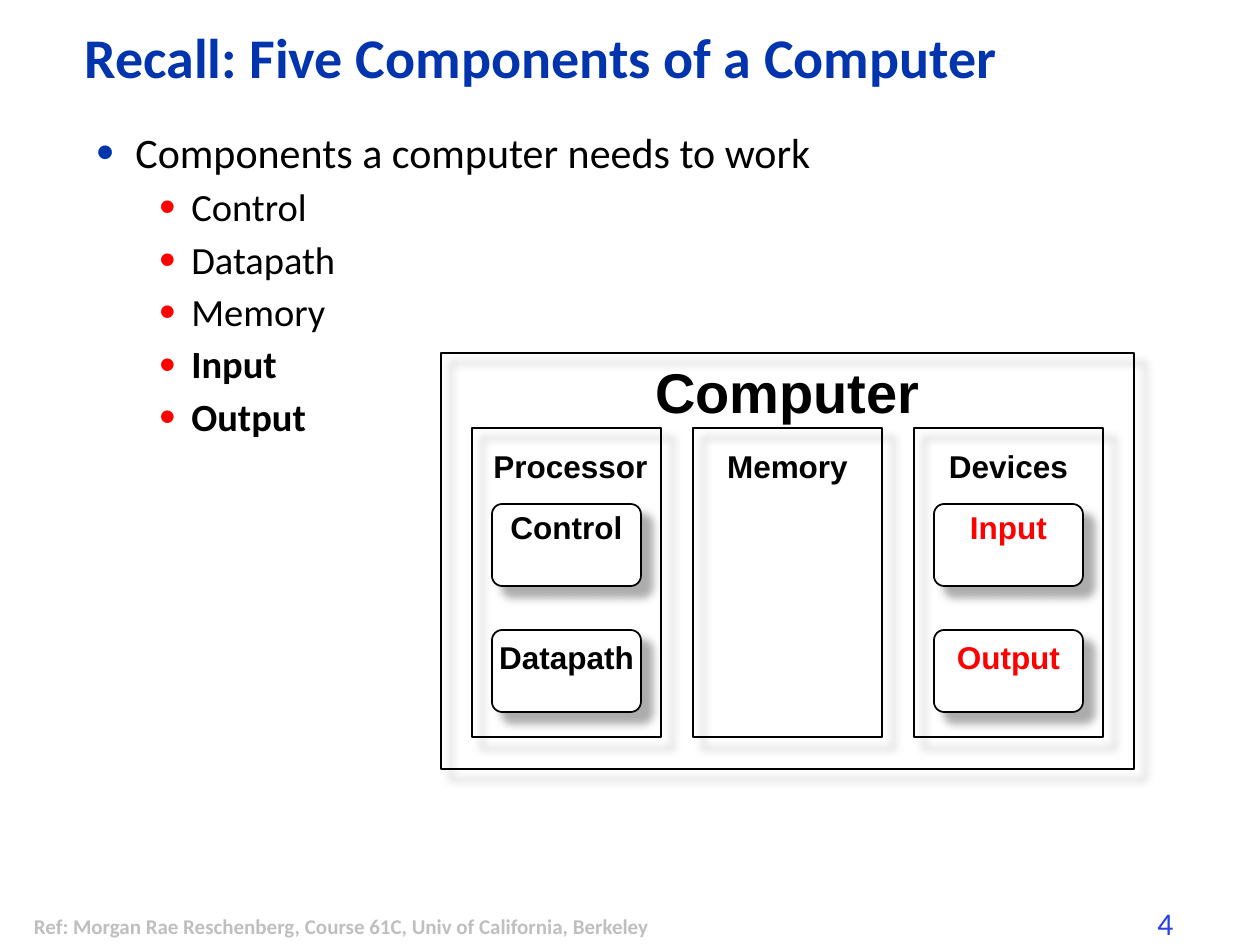
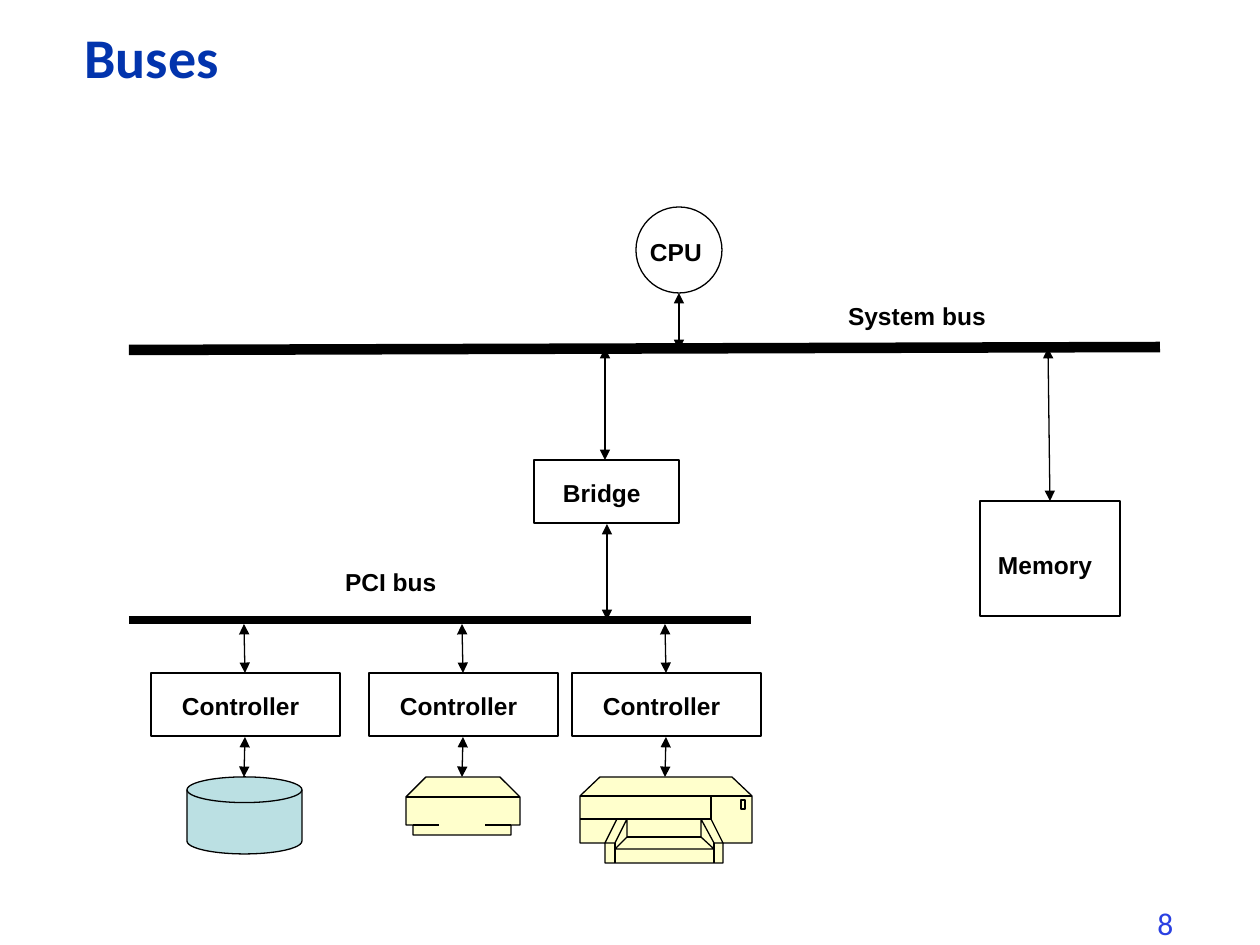
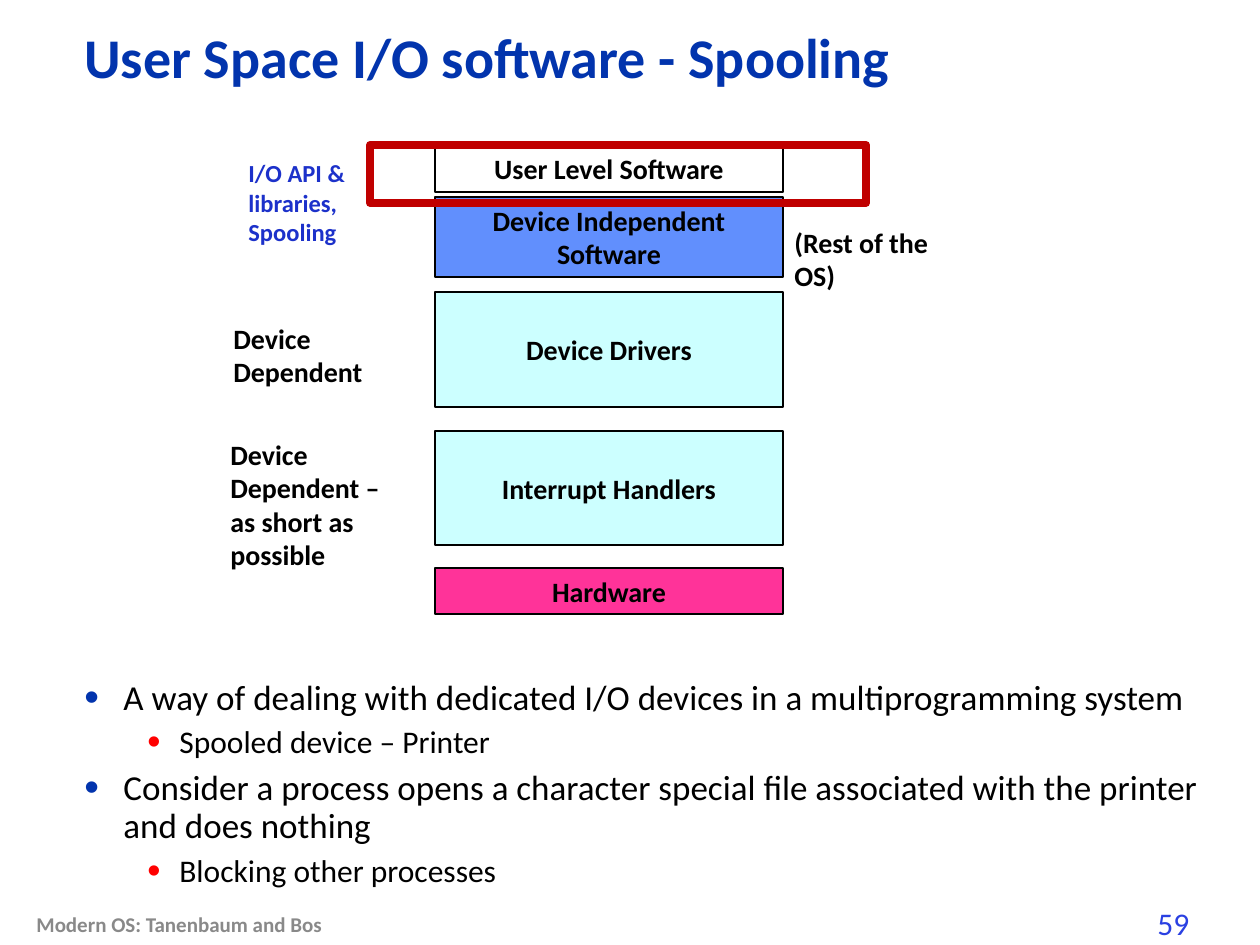
from lxml import etree
from pptx import Presentation
from pptx import util as u
from pptx.dml.color import RGBColor
from pptx.enum import shapes, text
from pptx.oxml import ns

PX = u.Inches(1) / 126
SLIDE_SIZE = (1260, 945)

COLORS = {
    "title": "0234AD", "page": "2A40E2", "black": "000000", "red": "FF0000",
    "white": "FFFFFF", "shadow": "919191", "reference": "BFBFBF", "book": "898989",
    "disk": "BBE0E3", "device": "FFFFCC", "independent": "618FFD", "dependent": "CCFFFF",
    "hardware": "FF3399", "api": "1C31CA", "highlight": "C00000",
}
BULLET_STYLES = [("title", 39, 39), ("red", 95, 32)]

COMPONENTS = [
    (0, "Components a computer needs to work", False),
    (1, "Control", False),
    (1, "Datapath", False),
    (1, "Memory", False),
    (1, "Input", True),
    (1, "Output", True),
]
COMPUTER = (441, 353, 693, 416)
UNITS = [
    ("Processor", 4, "black", ["Control", "Datapath"]),
    ("Memory", 0, "black", []),
    ("Devices", 0, "red", ["Input", "Output"]),
]
REFERENCE = "Ref: Morgan Rae Reschenberg, Course 61C, Univ of California, Berkeley"

BUSES = [((129, 350), (1160, 347), 6), ((129, 620), (751, 620), 4.5)]
BUS_NODES = [
    ("RECTANGLE", (980, 501, 140, 115), None),
    ("RECTANGLE", (534, 460, 145, 63), None),
    ("OVAL", (636, 207, 86, 86), None),
    ("FLOWCHART_MAGNETIC_DISK", (187, 777, 115, 77), "disk"),
]
BUS_LABELS = [
    ("Memory", (992, 546, 121, 38)),
    ("System bus", (842, 297, 160, 38)),
    ("CPU", (644, 233, 77, 38)),
    ("PCI bus", (339, 563, 106, 38)),
    ("Bridge", (557, 474, 106, 38)),
]
BUS_ARROWS = [
    ((605, 348), (605, 460)),
    ((1048, 348), (1050, 501)),
    ((679, 293), (679, 350)),
    ((607, 524), (607, 620)),
]
CONTROLLER_LEFTS = [151, 369, 572]
SCANNER = (
    [(520, 797), (500, 777), (426, 777), (406, 797), (406, 825), (413, 825),
     (413, 835), (511, 835), (511, 825), (520, 825)],
    [[(413, 825), (439, 825)], [(511, 825), (485, 825)], [(406, 797), (520, 797)]],
)
PRINTER = (
    [(600, 777), (732, 777), (752, 796), (752, 843), (723, 843), (723, 863),
     (605, 863), (605, 843), (580, 843), (580, 796)],
    [
        [(580, 796), (752, 796)],
        [(711, 796), (711, 819), (580, 819)],
        [(615, 843), (615, 863)],
        [(714, 843), (714, 863)],
        [(701, 837), (701, 819), (714, 843), (723, 843), (711, 819)],
        [(701, 837), (714, 849), (615, 849), (627, 837), (627, 819), (615, 843),
         (605, 843), (617, 819)],
        [(741, 800), (745, 800), (745, 809), (741, 809), (741, 800)],
        [(627, 837), (701, 837)],
    ],
)

LAYERS = [
    (["User Level Software"], 145, 47, None),
    (["Device Independent", "Software"], 197, 80, "independent"),
    (["Device Drivers"], 292, 115, "dependent"),
    (["Interrupt Handlers"], 431, 114, "dependent"),
    (["Hardware"], 568, 46, "hardware"),
]
LAYER_NOTES = [
    ("I/O API & libraries, Spooling", (236, 152, 185, 102), 14, "api"),
    ("Device Dependent", (221, 315, 200, 81), 16, "black"),
    ("Device Dependent – as short as possible", (218, 431, 200, 149), 16, "black"),
    ("(Rest of the OS)", (782, 219, 163, 81), 16, "black"),
]
HIGHLIGHT = (370, 145, 496, 58)
SPOOLING = [
    (0, "A way of dealing with dedicated I/O devices in a multiprogramming system", False),
    (1, "Spooled device – Printer", False),
    (0, "Consider a process opens a character special file associated with the printer and does nothing", False),
    (1, "Blocking other processes", False),
]


def emu(*lengths):
    return [u.Emu(round(length * PX)) for length in lengths]


def rgb(color):
    return RGBColor.from_string(COLORS[color])


def add_run(paragraph, words, size, color="black", bold=True, font="Calibri"):
    run = paragraph.add_run()
    run.text = words
    run.font.size = u.Pt(size)
    run.font.name = font
    run.font.bold = bold
    run.font.color.rgb = rgb(color)


def fill_frame(frame, lines, size, align="LEFT", anchor="TOP", spacing=1.0, inset=None, **style):
    frame.word_wrap = True
    frame.vertical_anchor = text.MSO_ANCHOR[anchor]
    if inset:
        frame.margin_left, frame.margin_top = emu(*inset)
        frame.margin_right, frame.margin_bottom = emu(*inset)
    for i, words in enumerate(lines):
        paragraph = frame.add_paragraph() if i else frame.paragraphs[0]
        paragraph.alignment = text.PP_ALIGN[align]
        paragraph.line_spacing = spacing
        add_run(paragraph, words, size, **style)


def label(slide, box, words, size, **style):
    fill_frame(slide.shapes.add_textbox(*emu(*box)).text_frame, [words], size, **style)


def bullets(slide, box, items, sizes):
    frame = slide.shapes.add_textbox(*emu(*box)).text_frame
    frame.word_wrap = True
    for i, (level, words, bold) in enumerate(items):
        color, indent, hang = BULLET_STYLES[level]
        paragraph = frame.add_paragraph() if i else frame.paragraphs[0]
        paragraph.level = level
        props = paragraph._p.get_or_add_pPr()
        props.set("marL", str(emu(indent)[0]))
        props.set("indent", str(emu(-hang)[0]))
        tint = etree.SubElement(props, ns.qn("a:buClr"))
        etree.SubElement(tint, ns.qn("a:srgbClr"), val=COLORS[color])
        etree.SubElement(props, ns.qn("a:buSzPct"), val="120000")
        etree.SubElement(props, ns.qn("a:buFont"), typeface="Arial")
        etree.SubElement(props, ns.qn("a:buChar"), char="•")
        paragraph.line_spacing = 0.9
        if i:
            paragraph.space_before = u.Pt(round(sizes[level] * 0.28, 1))
        add_run(paragraph, words, sizes[level], bold=bold)


def paint(shape, fill=None, line="black", width=0.75):
    shape.shadow.inherit = False
    if fill:
        shape.fill.solid()
        shape.fill.fore_color.rgb = rgb(fill)
    else:
        shape.fill.background()
    shape.line.color.rgb = rgb(line)
    shape.line.width = u.Pt(width)
    return shape


def block(slide, kind, box, **style):
    return paint(slide.shapes.add_shape(shapes.MSO_SHAPE[kind], *emu(*box)), **style)


def shaded(slide, kind, box, fill=None):
    shape = block(slide, kind, box, fill=fill, width=1)
    effects = shape._element.spPr.find(ns.qn("a:effectLst"))
    shadow = etree.SubElement(effects, ns.qn("a:outerShdw"), blurRad=str(u.Pt(5)),
                              dist=str(u.Pt(8.5)), dir="2700000", algn="ctr", rotWithShape="0")
    tint = etree.SubElement(shadow, ns.qn("a:srgbClr"), val=COLORS["shadow"])
    etree.SubElement(tint, ns.qn("a:alpha"), val="75000")
    return shape


def connect(slide, start, end, width=0.75, arrows=True):
    line = slide.shapes.add_connector(shapes.MSO_CONNECTOR.STRAIGHT, *emu(*start, *end))
    line.line.color.rgb = rgb("black")
    line.line.width = u.Pt(width)
    if arrows:
        for end_tag in ("a:headEnd", "a:tailEnd"):
            etree.SubElement(line.line._get_or_add_ln(), ns.qn(end_tag), type="triangle")
    etree.SubElement(line._element.spPr, ns.qn("a:effectLst"))


def device(slide, outline, details):
    body = slide.shapes.build_freeform(*outline[0], scale=PX)
    body.add_line_segments(outline[1:], close=True)
    paint(body.convert_to_shape(), fill="device")
    edges = slide.shapes.build_freeform(*details[0][0], scale=PX)
    for i, stroke in enumerate(details):
        if i:
            edges.move_to(*stroke[0])
        edges.add_line_segments(stroke[1:], close=False)
    paint(edges.convert_to_shape())


def start_slide(deck, title, page):
    slide = deck.slides.add_slide(deck.slide_layouts[6])
    label(slide, (1145, 898, 64, 50), page, 18, color="page", bold=False)
    label(slide, (72, 24, 987, 73), title, 32, color="title", anchor="MIDDLE", spacing=0.9)
    return slide


def components_slide(deck):
    slide = start_slide(deck, "Recall: Five Components of a Computer", "4")
    bullets(slide, (84, 126, 1092, 703), COMPONENTS, (24, 22))
    caption = dict(align="CENTER", spacing=0.85, inset=(9, 4), font="Arial")
    shaded(slide, "RECTANGLE", COMPUTER)
    label(slide, (441, 364, 693, 64), "Computer", 32, **caption)
    for i, (unit, shift, color, parts) in enumerate(UNITS):
        left = 472 + 221 * i
        shaded(slide, "RECTANGLE", (left, 428, 189, 309))
        label(slide, (left + shift, 449, 189, 40), unit, 18, **caption)
        for j, part in enumerate(parts):
            shape = shaded(slide, "ROUNDED_RECTANGLE", (left + 20, 504 + 126 * j, 149, 82), "white")
            shape.adjustments[0] = 0.125
            label(slide, (left, 510 + 130 * j, 189, 40), part, 18, color=color, **caption)
    label(slide, (4, 901, 675, 50), REFERENCE, 12, color="reference", align="CENTER", anchor="MIDDLE")


def buses_slide(deck):
    slide = start_slide(deck, "Buses", "8")
    caption = dict(inset=(6, 4), font="Arial")
    for start, end, width in BUSES:
        connect(slide, start, end, width, arrows=False)
    for kind, box, fill in BUS_NODES:
        block(slide, kind, box, fill=fill)
    device(slide, *SCANNER)
    device(slide, *PRINTER)
    for words, box in BUS_LABELS:
        label(slide, box, words, 14, **caption)
    for start, end in BUS_ARROWS:
        connect(slide, start, end)
    for left in CONTROLLER_LEFTS:
        block(slide, "RECTANGLE", (left, 673, 189, 63))
        label(slide, (left + 25, 687, 141, 38), "Controller", 14, **caption)
        connect(slide, (left + 93, 624), (left + 94, 673))
        connect(slide, (left + 94, 737), (left + 93, 777))


def spooling_slide(deck):
    slide = start_slide(deck, "User Space I/O software - Spooling", "59")
    bullets(slide, (72, 674, 1143, 248), SPOOLING, (20, 18))
    for lines, top, height, fill in LAYERS:
        layer = block(slide, "RECTANGLE", (435, top, 348, height), fill=fill, width=1)
        fill_frame(layer.text_frame, lines, 16, align="CENTER", anchor="MIDDLE")
    for words, box, size, color in LAYER_NOTES:
        label(slide, box, words, size, color=color)
    label(slide, (24, 908, 535, 32), "Modern OS: Tanenbaum and Bos", 12, color="book", anchor="MIDDLE")
    block(slide, "RECTANGLE", HIGHLIGHT, line="highlight", width=4.5)


def main():
    deck = Presentation()
    deck.slide_width, deck.slide_height = emu(*SLIDE_SIZE)
    components_slide(deck)
    buses_slide(deck)
    spooling_slide(deck)
    deck.save("out.pptx")


if __name__ == "__main__":
    main()
